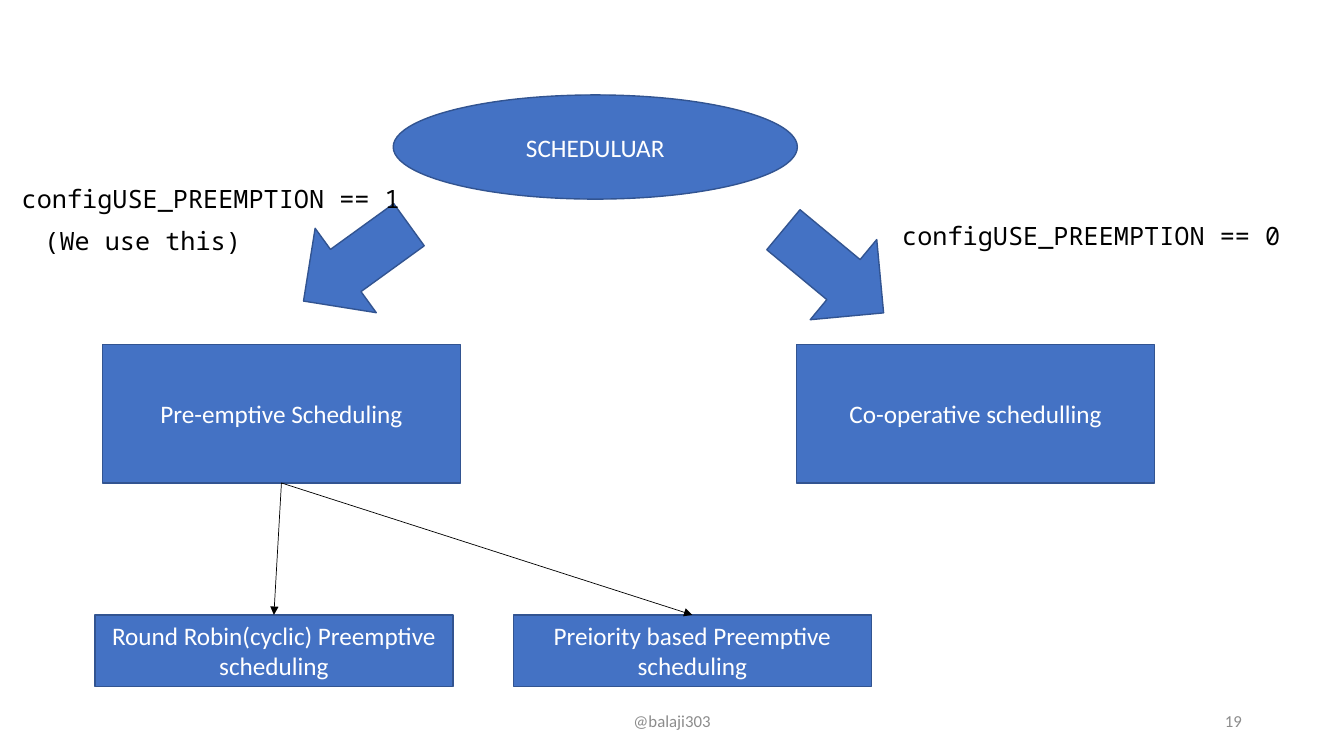
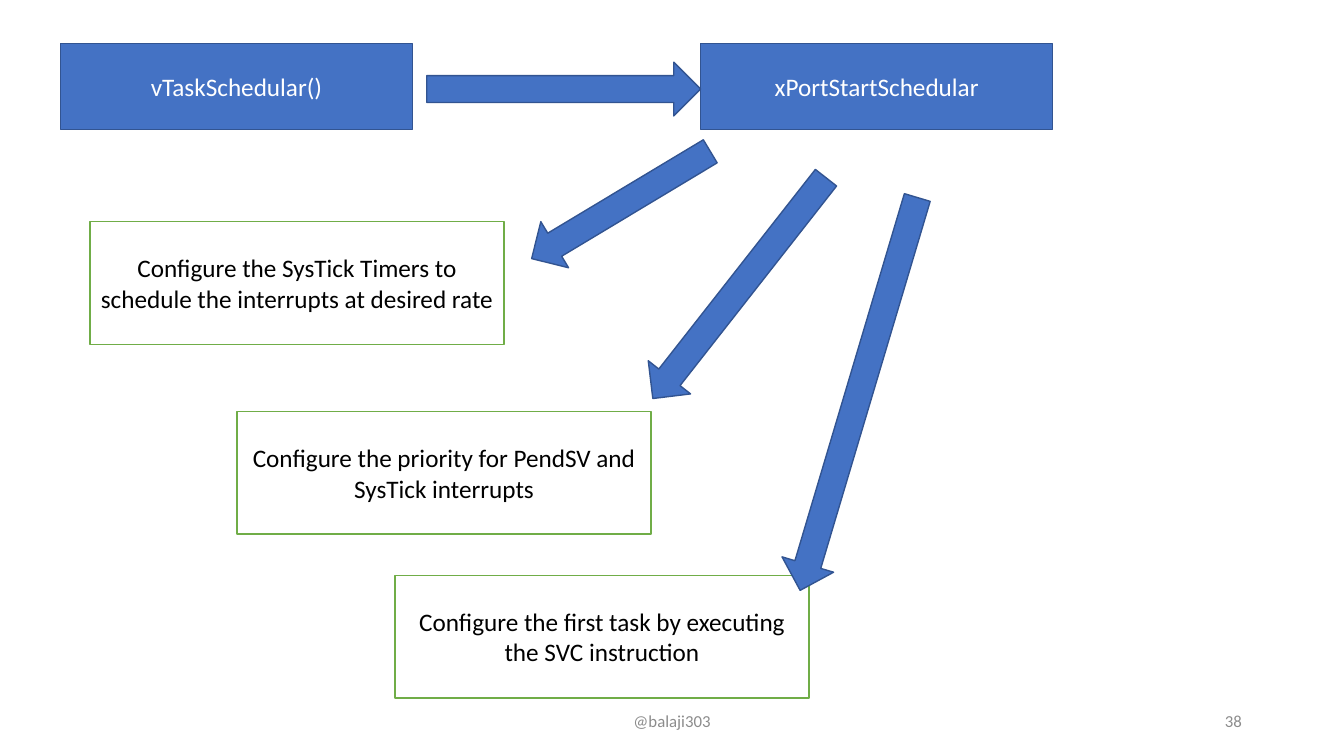
from dataclasses import dataclass

from lxml import etree
from pptx import Presentation
from pptx.dml.color import RGBColor
from pptx.enum.shapes import MSO_CONNECTOR, MSO_SHAPE
from pptx.enum.text import MSO_ANCHOR, PP_ALIGN
from pptx.oxml.ns import qn
from pptx.shapes.autoshape import Shape
from pptx.slide import Slide
from pptx.util import Emu, Inches, Pt

RECTANGLE, OVAL = MSO_SHAPE.RECTANGLE, MSO_SHAPE.OVAL
RIGHT_ARROW = MSO_SHAPE.RIGHT_ARROW
STRAIGHT = MSO_CONNECTOR.STRAIGHT
LEFT, CENTER, RIGHT = PP_ALIGN.LEFT, PP_ALIGN.CENTER, PP_ALIGN.RIGHT
TOP, MIDDLE = MSO_ANCHOR.TOP, MSO_ANCHOR.MIDDLE
TOP_SIDE, BOTTOM_SIDE = 0, 2
BLANK_LAYOUT = 6

# The slide is a grid of 160 columns by 90 rows of square cells
SLIDE_WIDTH, SLIDE_HEIGHT = Inches(13.33), Inches(7.5)
CELL = SLIDE_HEIGHT / 90


@dataclass(frozen=True)
class Theme:
    blue: RGBColor = RGBColor(0x44, 0x72, 0xC4)
    blue_edge: RGBColor = RGBColor(0x32, 0x54, 0x91)
    green_edge: RGBColor = RGBColor(0x70, 0xAD, 0x47)
    white: RGBColor = RGBColor(0xFF, 0xFF, 0xFF)
    black: RGBColor = RGBColor(0, 0, 0)
    gray: RGBColor = RGBColor(0x8C, 0x8C, 0x8C)
    body_font: str = "Calibri"
    code_font: str = "Noto Sans Mono"
    body_size: float = 18
    footer_size: float = 12
    edge_width: float = 1
    link_width: float = 0.5


THEME = Theme()


@dataclass(frozen=True)
class BoxStyle:
    fill: RGBColor
    edge: RGBColor
    ink: RGBColor


SOLID = BoxStyle(THEME.blue, THEME.blue_edge, THEME.white)
OUTLINED = BoxStyle(THEME.white, THEME.green_edge, THEME.black)


@dataclass(frozen=True)
class Area:
    """A place on the grid, in columns and rows."""
    column: float
    row: float
    columns: float
    rows: float


@dataclass(frozen=True)
class Box:
    text: str
    area: Area
    style: BoxStyle = SOLID
    preset: MSO_SHAPE = RECTANGLE


@dataclass(frozen=True)
class BlockArrow:
    """An arrow given by its centre; angle 0 points right, clockwise."""
    column: float
    row: float
    length: float
    breadth: float
    angle: float


@dataclass(frozen=True)
class TextStyle:
    font: str
    size: float
    ink: RGBColor
    align: PP_ALIGN = LEFT
    anchor: MSO_ANCHOR = TOP


CODE = TextStyle(THEME.code_font, THEME.body_size, THEME.black)
FOOTER = TextStyle(THEME.body_font, THEME.footer_size, THEME.gray, CENTER, MIDDLE)
PAGE_NUMBER = TextStyle(THEME.body_font, THEME.footer_size, THEME.gray, RIGHT, MIDDLE)


def cells(count: float) -> Emu:
    return Emu(round(count * CELL))


def frame(area: Area) -> tuple[Emu, Emu, Emu, Emu]:
    return (cells(area.column), cells(area.row),
            cells(area.columns), cells(area.rows))


def write(holder: Shape, text: str, style: TextStyle) -> None:
    text_frame = holder.text_frame
    text_frame.word_wrap = True
    text_frame.vertical_anchor = style.anchor
    paragraph = text_frame.paragraphs[0]
    paragraph.text = text
    paragraph.alignment = style.align
    paragraph.font.name = style.font
    paragraph.font.size = Pt(style.size)
    paragraph.font.color.rgb = style.ink


def add_preset(slide: Slide, preset: MSO_SHAPE, area: Area, style: BoxStyle) -> Shape:
    shape = slide.shapes.add_shape(preset, *frame(area))
    shape.shadow.inherit = False
    shape.fill.solid()
    shape.fill.fore_color.rgb = style.fill
    shape.line.color.rgb = style.edge
    shape.line.width = Pt(THEME.edge_width)
    return shape


def add_box(slide: Slide, box: Box) -> Shape:
    shape = add_preset(slide, box.preset, box.area, box.style)
    write(shape, box.text, TextStyle(THEME.body_font, THEME.body_size,
                                     box.style.ink, CENTER, MIDDLE))
    return shape


def add_block_arrow(slide: Slide, arrow: BlockArrow) -> None:
    area = Area(arrow.column - arrow.length / 2, arrow.row - arrow.breadth / 2,
                arrow.length, arrow.breadth)
    add_preset(slide, RIGHT_ARROW, area, SOLID).rotation = arrow.angle


def add_label(slide: Slide, text: str, area: Area, style: TextStyle) -> None:
    write(slide.shapes.add_textbox(*frame(area)), text, style)


def add_link(slide: Slide, parent: Shape, child: Shape) -> None:
    link = slide.shapes.add_connector(STRAIGHT, 0, 0, 0, 0)
    link.begin_connect(parent, BOTTOM_SIDE)
    link.end_connect(child, TOP_SIDE)
    link.line.color.rgb = THEME.black
    link.line.width = Pt(THEME.link_width)
    etree.SubElement(link.line._get_or_add_ln(), qn("a:tailEnd"), type="triangle")
    etree.SubElement(link._element.spPr, qn("a:effectLst"))


def new_slide(deck: Presentation, number: int) -> Slide:
    slide = deck.slides.add_slide(deck.slide_layouts[BLANK_LAYOUT])
    add_label(slide, str(number), Area(113, 83.4, 36, 4.8), PAGE_NUMBER)
    add_label(slide, "@balaji303", Area(53, 83.4, 54, 4.8), FOOTER)
    return slide


def build_scheduler_types(deck: Presentation) -> None:
    slide = new_slide(deck, 19)

    # Scheduler and its two kinds
    add_box(slide, Box("SCHEDULUAR", Area(46.8, 11.3, 48.1, 12.4), preset=OVAL))
    preemptive = add_box(slide, Box("Pre-emptive Scheduling",
                                    Area(12.2, 41, 42.6, 16.5)))
    add_box(slide, Box("Co-operative schedulling", Area(94.8, 41, 42.6, 16.5)))
    for arrow in (BlockArrow(42.4, 31.3, 15.5, 12.4, 144.1),
                  BlockArrow(99.2, 32.3, 15.5, 12.4, 39.7)):
        add_block_arrow(slide, arrow)

    # Settings that choose the kind
    for text, column, row in (("configUSE_PREEMPTION == 1", 1.4, 21.2),
                              ("configUSE_PREEMPTION == 0", 106.2, 25.6),
                              ("(We use this)", 4.1, 26.2)):
        add_label(slide, text, Area(column, row, 48.1, 4.8), CODE)

    # Pre-emptive variants
    for text, column in (("Round Robin(cyclic) Preemptive scheduling", 11.3),
                         ("Preiority based Preemptive scheduling", 61.1)):
        variant = add_box(slide, Box(text, Area(column, 73.2, 42.6, 8.5)))
        add_link(slide, preemptive, variant)


def build_scheduler_start(deck: Presentation) -> None:
    slide = new_slide(deck, 38)

    # Calls
    for text, column in (("vTaskSchedular()", 7.2), ("xPortStartSchedular", 83.4)):
        add_box(slide, Box(text, Area(column, 5.2, 41.9, 10.2)))

    # Configuration steps
    for text, column, row in (
        ("Configure the SysTick Timers to schedule the interrupts at desired rate",
         10.7, 26.4),
        ("Configure the priority for PendSV and SysTick interrupts", 28.2, 49),
        ("Configure the first task by executing the SVC instruction", 47, 68.5),
    ):
        add_box(slide, Box(text, Area(column, row, 49.3, 14.6), OUTLINED))

    # Arrows from call to call, then to each step
    for column, row, length, angle in ((67.1, 10.6, 32.6, 0),
                                       (73.9, 24.4, 24.8, 149),
                                       (88, 34.3, 33.4, 128.1),
                                       (102.2, 46.9, 48.8, 106.6)):
        add_block_arrow(slide, BlockArrow(column, row, length, 6.4, angle))


def main() -> None:
    deck = Presentation()
    deck.slide_width, deck.slide_height = SLIDE_WIDTH, SLIDE_HEIGHT
    build_scheduler_types(deck)
    build_scheduler_start(deck)
    deck.save("out.pptx")


if __name__ == "__main__":
    main()
